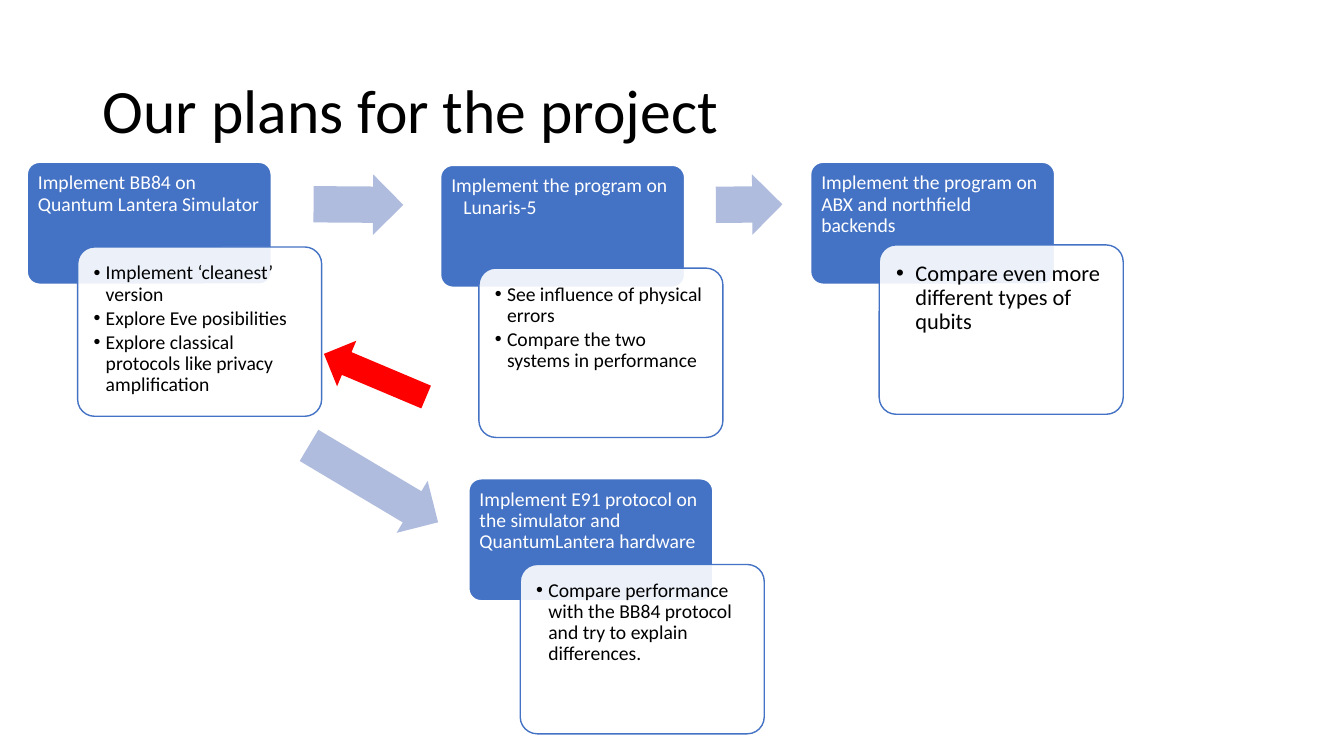
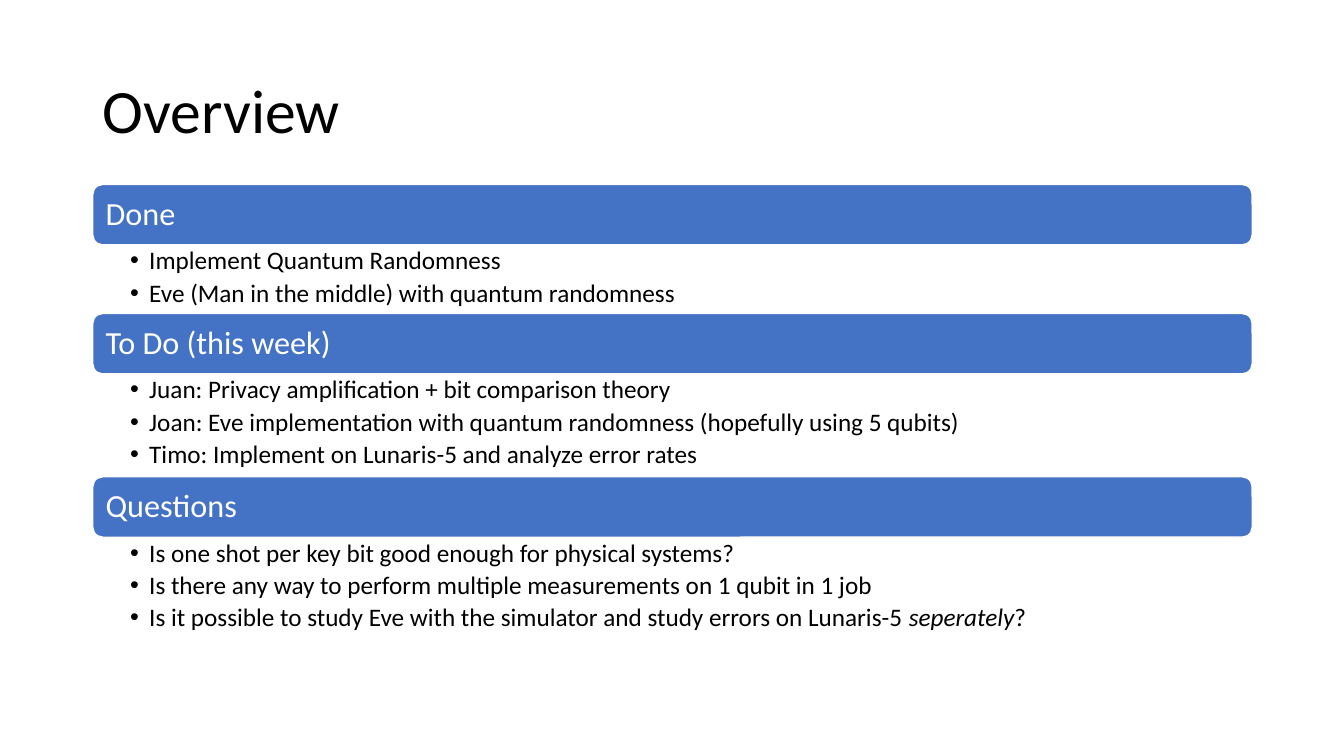
from dataclasses import dataclass

from lxml import etree
from pptx import Presentation
from pptx.dml.color import RGBColor
from pptx.enum.shapes import MSO_SHAPE
from pptx.enum.text import MSO_ANCHOR, PP_ALIGN
from pptx.oxml.ns import qn
from pptx.util import Inches, Pt

ROUND_BOX = MSO_SHAPE.ROUNDED_RECTANGLE
RIGHT_ARROW, LEFT_ARROW = MSO_SHAPE.RIGHT_ARROW, MSO_SHAPE.LEFT_ARROW
TOP, MIDDLE, LEFT = MSO_ANCHOR.TOP, MSO_ANCHOR.MIDDLE, PP_ALIGN.LEFT


@dataclass(frozen=True)
class Theme:
    font: str = "Calibri"
    blue: RGBColor = RGBColor(0x44, 0x72, 0xC4)
    pale_blue: RGBColor = RGBColor(0xB0, 0xBC, 0xDE)
    red: RGBColor = RGBColor(0xFF, 0x00, 0x00)
    white: RGBColor = RGBColor(0xFF, 0xFF, 0xFF)
    black: RGBColor = RGBColor(0x00, 0x00, 0x00)
    title_size: int = 44
    band_size: int = 23
    list_size: int = 18
    card_size: int = 14
    large_card_size: int = 16
    line_spacing: float = 0.9


THEME = Theme()

# Card layout: head and body sizes, and the rounding of their corners
HEAD_SIZE = (2.42, 1.21)
BODY_SIZE = (2.42, 1.68)
CARD_ROUNDING = 0.1

# Overview layout: bands above lists, sharing left edge and width
CONTENT_LEFT, CONTENT_WIDTH = 0.92, 11.5
FIRST_BAND_TOP, BAND_HEIGHT, LIST_ROW = 1.83, 0.6, 0.34

# (head position, head text, head indent, body position, body size, bullet indent, body points)
CARDS = [
    ((0.27, 1.61), "Implement BB84 on Quantum Lantera Simulator", 0,
     (0.77, 2.45), THEME.card_size, 0.12,
     ["Implement ‘cleanest’ version", "Explore Eve posibilities",
      "Explore classical protocols like privacy amplification"]),
    ((4.37, 1.64), "Implement the program on Lunaris-5", 0.12,
     (4.75, 2.66), THEME.card_size, 0.12,
     ["See influence of physical errors", "Compare the two systems in performance"]),
    ((8.04, 1.61), "Implement the program on ABX and northfield backends", 0,
     (8.72, 2.43), THEME.large_card_size, 0.19,
     ["Compare even more different types of qubits"]),
    ((4.65, 4.75), "Implement E91 protocol on the simulator and QuantumLantera hardware", 0,
     (5.16, 5.6), THEME.card_size, 0.12,
     ["Compare performance with the BB84 protocol and try to explain differences."]),
]

# (kind, position and size, rotation, colour, adjustments)
ARROWS = [
    (RIGHT_ARROW, (3.11, 1.73, 0.89, 0.6), 0.4, THEME.pale_blue, (0.6, 0.5)),
    (RIGHT_ARROW, (7.1, 1.73, 0.66, 0.6), 359.6, THEME.pale_blue, (0.6, 0.5)),
    (RIGHT_ARROW, (2.96, 4.5, 1.49, 0.6), 30.8, THEME.pale_blue, (0.6, 0.5)),
    (LEFT_ARROW, (3.17, 3.48, 1.1, 0.49), 22.9, THEME.red, (0.5, 0.5)),
]

# A point is a text, or a list of (text, italic) parts
SECTIONS = [
    ("Done", ["Implement Quantum Randomness",
              "Eve (Man in the middle) with quantum randomness"]),
    ("To Do (this week)", [
        "Juan: Privacy amplification + bit comparison theory",
        "Joan: Eve implementation with quantum randomness (hopefully using 5 qubits)",
        "Timo: Implement on Lunaris-5 and analyze error rates"]),
    ("Questions", [
        "Is one shot per key bit good enough for physical systems?",
        "Is there any way to perform multiple measurements on 1 qubit in 1 job",
        [("Is it possible to study Eve with the simulator and study errors on Lunaris-5 ", False),
         ("seperately", True), ("?", False)]]),
]


def apply_format(target, values):
    for name, value in values.items():
        setattr(target, name, value)


def set_indent(para, indent, bullet):
    """Hang the first line by the indent, with or without a bullet."""
    props = para._p.get_or_add_pPr()
    props.set("marL", str(Inches(indent)))
    props.set("indent", str(-Inches(indent)))
    if bullet:
        etree.SubElement(props, qn("a:buFont")).set("typeface", "Arial")
        etree.SubElement(props, qn("a:buChar")).set("char", "•")


def write_text(box, points, size, color, insets, anchor=TOP, indent=0, bullet=False, gap=0):
    """Fill a box with paragraphs; gap is a share of the type size."""
    frame = box.text_frame
    sides = ("margin_left", "margin_top", "margin_right", "margin_bottom")
    apply_format(frame, {"word_wrap": True, "vertical_anchor": anchor})
    apply_format(frame, {side: Inches(inset) for side, inset in zip(sides, insets)})
    for index, point in enumerate(points):
        para = frame.add_paragraph() if index else frame.paragraphs[0]
        apply_format(para, {"alignment": LEFT, "line_spacing": THEME.line_spacing,
                            "space_before": Pt(0), "space_after": Pt(gap * size)})
        if indent:
            set_indent(para, indent, bullet)
        for text, italic in [(point, False)] if isinstance(point, str) else point:
            span = para.add_run()
            span.text = text
            apply_format(span.font, {"name": THEME.font, "size": Pt(size), "italic": italic})
            span.font.color.rgb = color


def add_text_box(page, place, *args, **options):
    box = page.shapes.add_textbox(*map(Inches, place))
    write_text(box, *args, **options)


def add_filled_shape(page, kind, place, fill, line=None, opacity=None, adjustments=()):
    shape = page.shapes.add_shape(kind, *map(Inches, place))
    shape.shadow.inherit = False
    for index, value in enumerate(adjustments):
        shape.adjustments[index] = value
    shape.fill.solid()
    shape.fill.fore_color.rgb = fill
    if opacity is not None:
        color = shape._element.spPr.find(qn("a:solidFill"))[0]
        etree.SubElement(color, qn("a:alpha")).set("val", str(opacity * 1000))
    if line is None:
        shape.line.fill.background()
    else:
        shape.line.color.rgb = line
        shape.line.width = Pt(1)
    return shape


def add_page(deck, title):
    page = deck.slides.add_slide(deck.slide_layouts[6])
    add_text_box(page, (CONTENT_LEFT, 0.4, CONTENT_WIDTH, 1.45), [title], THEME.title_size,
                 THEME.black, (0.1, 0.05, 0.1, 0.05), anchor=MIDDLE)
    return page


def add_card(page, head_at, head, head_indent, body_at, body_size, bullet_indent, points):
    """Blue head, overlapped by a translucent body with bullets."""
    head_box = add_filled_shape(page, ROUND_BOX, head_at + HEAD_SIZE, THEME.blue, THEME.white,
                                adjustments=[CARD_ROUNDING])
    write_text(head_box, [head], THEME.card_size, THEME.white, (0.07, 0.07, 0.07, 0.06),
               indent=head_indent)
    body_box = add_filled_shape(page, ROUND_BOX, body_at + BODY_SIZE, THEME.white, THEME.blue,
                                opacity=90, adjustments=[CARD_ROUNDING])
    inset = 0.11 if body_size == THEME.card_size else 0.12
    write_text(body_box, points, body_size, THEME.black, (inset,) * 4,
               indent=bullet_indent, bullet=True, gap=0.15)


def add_arrow(page, kind, place, rotation, color, adjustments):
    arrow = add_filled_shape(page, kind, place, color, adjustments=adjustments)
    arrow.rotation = rotation


def add_section(page, top, heading, points):
    """Band with a heading above its list; returns the top of the next section."""
    band = add_filled_shape(page, ROUND_BOX, (CONTENT_LEFT, top, CONTENT_WIDTH, BAND_HEIGHT),
                            THEME.blue, THEME.white)
    write_text(band, [heading], THEME.band_size, THEME.white, (0.1,) * 4, anchor=MIDDLE)
    list_top, list_height = top + BAND_HEIGHT, LIST_ROW * len(points)
    add_text_box(page, (CONTENT_LEFT, list_top, CONTENT_WIDTH, list_height), points,
                 THEME.list_size, THEME.black, (0.37, 0.03, 0.18, 0.03),
                 indent=0.19, bullet=True, gap=0.2)
    return list_top + list_height


def main():
    deck = Presentation()
    deck.slide_width, deck.slide_height = Inches(13.33), Inches(7.5)

    # Project plan
    plan = add_page(deck, "Our plans for the project")
    for card in CARDS:
        add_card(plan, *card)
    for arrow in ARROWS:
        add_arrow(plan, *arrow)

    # Overview
    overview = add_page(deck, "Overview")
    top = FIRST_BAND_TOP
    for heading, points in SECTIONS:
        top = add_section(overview, top, heading, points)

    deck.save("out.pptx")


if __name__ == "__main__":
    main()
